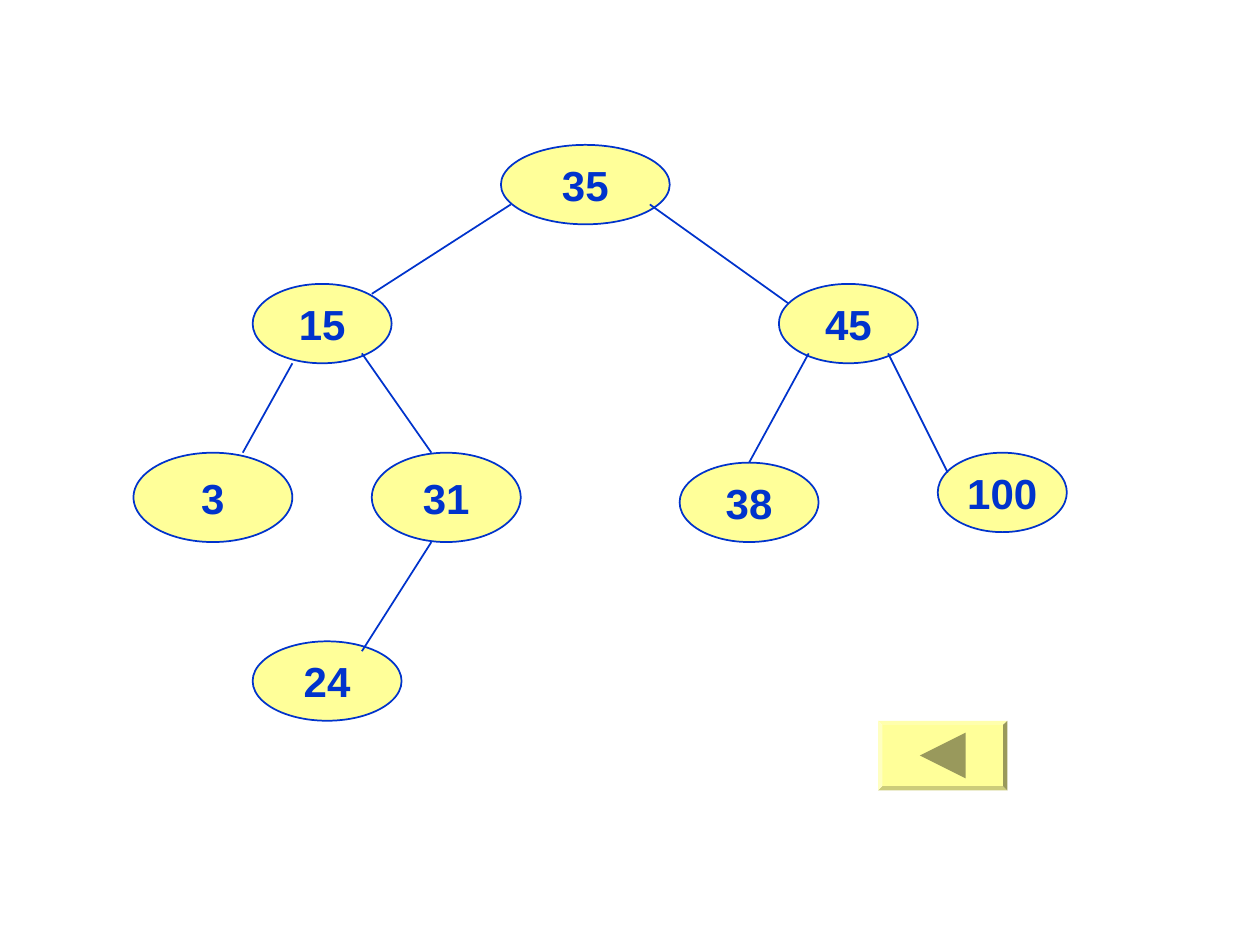
import pptx
import pptx.dml.color
import pptx.enum.shapes
import pptx.enum.text
import pptx.oxml.ns
import pptx.util
from lxml import etree

BLUE = pptx.dml.color.RGBColor(0x00, 0x33, 0xCC)
YELLOW = pptx.dml.color.RGBColor(0xFF, 0xFF, 0x99)
OLIVE = pptx.dml.color.RGBColor(0x99, 0x99, 0x5C)
LEFT, TOP, UNIT = 1.06, 1.15, 0.0788  # origin and square cell of the grid, inches
SHAPE = pptx.enum.shapes.MSO_SHAPE


def grid(col, row):
    """Position of a grid point on the slide."""
    return pptx.util.Inches(LEFT + col * UNIT), pptx.util.Inches(TOP + row * UNIT)


def size(cols, rows):
    return pptx.util.Inches(cols * UNIT), pptx.util.Inches(rows * UNIT)


prs = pptx.Presentation()
prs.slide_width = pptx.util.Inches(10)
prs.slide_height = pptx.util.Inches(7.5)
s = prs.slides.add_slide(prs.slide_layouts[6])

# Back button: bevelled plate with a left-pointing arrow
col, row, cols, rows = 75, 58, 13, 7
plate = s.shapes.add_shape(SHAPE.BEVEL, *grid(col, row), *size(cols, rows))
plate.adjustments[0] = 0.06
mid_col, mid_row, half = col + cols / 2, row + rows / 2, 2.3
fb = s.shapes.build_freeform(*grid(mid_col - half, mid_row))
fb.add_line_segments([grid(mid_col + half, mid_row - half),
                      grid(mid_col + half, mid_row + half)])
arrow = fb.convert_to_shape()
for sp, color in ((plate, YELLOW), (arrow, OLIVE)):
    sp.shadow.inherit = False
    sp.fill.solid()
    sp.fill.fore_color.rgb = color
    sp.line.fill.background()

tree = s.shapes.add_group_shape()

# Nodes: key, column, row, columns wide, rows high
nodes = [
    ("35", 37, 0, 17, 8),
    ("15", 12, 14, 14, 8),
    ("45", 65, 14, 14, 8),
    ("3", 0, 31, 16, 9),
    ("31", 24, 31, 15, 9),
    ("38", 55, 32, 14, 8),
    ("100", 81, 31, 13, 8),
    ("24", 12, 50, 15, 8),
]
for key, col, row, cols, rows in nodes:
    sp = tree.shapes.add_shape(SHAPE.OVAL, *grid(col, row), *size(cols, rows))
    sp.shadow.inherit = False
    sp.fill.solid()
    sp.fill.fore_color.rgb = YELLOW
    sp.line.color.rgb = BLUE
    sp.line.width = pptx.util.Pt(1)
    tf = sp.text_frame
    tf.word_wrap = False
    tf.vertical_anchor = pptx.enum.text.MSO_ANCHOR.MIDDLE
    p = tf.paragraphs[0]
    p.text = key
    p.alignment = pptx.enum.text.PP_ALIGN.CENTER
    p.font.name = "Arial"
    p.font.size = pptx.util.Pt(24)
    p.font.bold = True
    p.font.color.rgb = BLUE

# Edges: parent end, child end
edges = [
    ((38, 6), (24, 15)),
    ((52, 6), (66, 16)),
    ((16, 22), (11, 31)),
    ((23, 21), (30, 31)),
    ((30, 40), (23, 51)),
    ((68, 21), (62, 32)),
    ((76, 21), (82, 33)),
]
for parent, child in edges:
    edge = tree.shapes.add_connector(pptx.enum.shapes.MSO_CONNECTOR.STRAIGHT,
                                     *grid(*parent), *grid(*child))
    edge.line.color.rgb = BLUE
    edge.line.width = pptx.util.Pt(1)
    etree.SubElement(edge._element.spPr, pptx.oxml.ns.qn("a:effectLst"))

prs.save("out.pptx")
